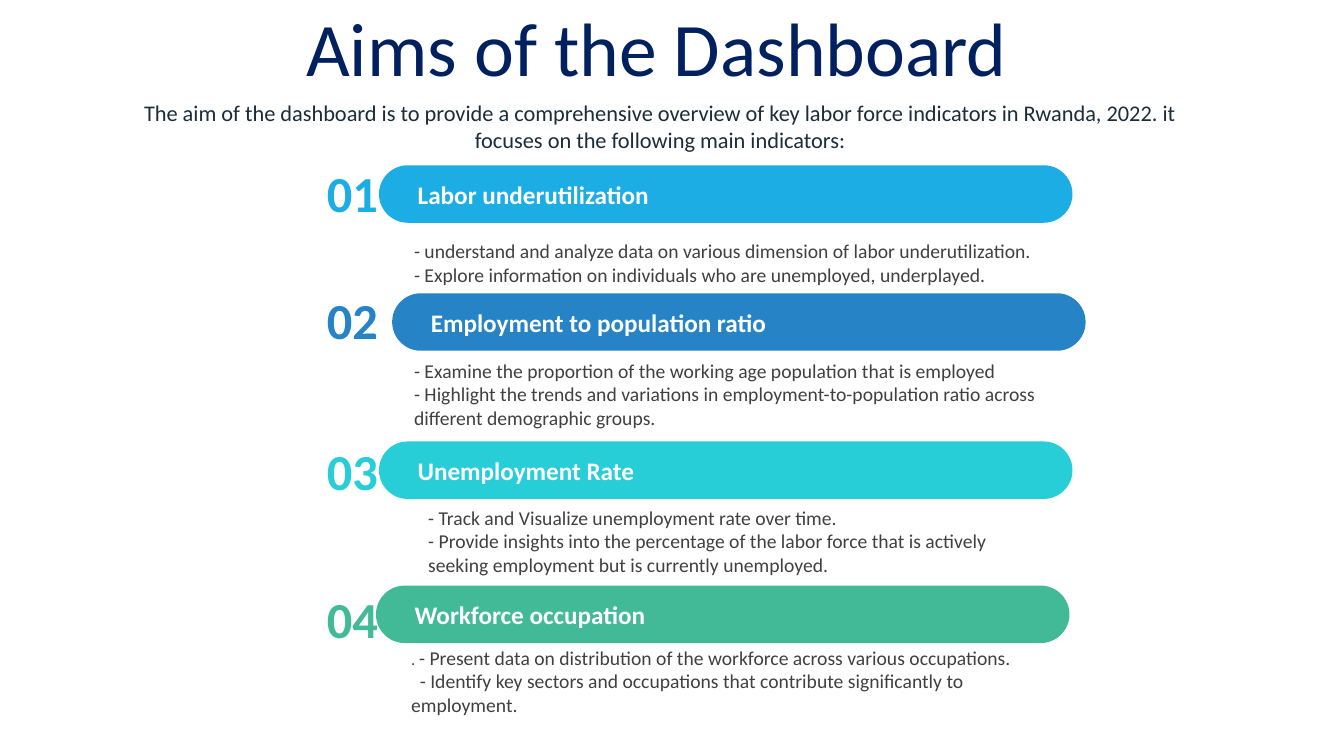
"""Builds the slide on the aims of the labor force dashboard."""
from pptx import Presentation
from pptx.dml.color import RGBColor
from pptx.enum import shapes, text
from pptx.util import Pt

ALIGN = text.PP_ALIGN
GREY = "404040"


def color(value):
    return RGBColor.from_string(value)


def write(frame, paragraphs, size=14, ink=GREY, bold=False, align=ALIGN.LEFT,
          insets=(7.2, 3.6, 7.2, 3.6), last_indent=0):
    frame.word_wrap = True
    frame.auto_size = text.MSO_AUTO_SIZE.NONE
    frame.vertical_anchor = text.MSO_ANCHOR.MIDDLE
    (frame.margin_left, frame.margin_top,
     frame.margin_right, frame.margin_bottom) = map(Pt, insets)
    for index, content in enumerate(paragraphs):
        paragraph = frame.add_paragraph() if index else frame.paragraphs[0]
        paragraph.alignment = align
        pieces = [(content, size)] if isinstance(content, str) else content
        for words, points in pieces:
            run = paragraph.add_run()
            run.text = words
            run.font.name = "Calibri"
            run.font.size = Pt(points)
            run.font.bold = bold
            run.font.color.rgb = color(ink)
    if last_indent:
        paragraph._p.get_or_add_pPr().set("indent", str(Pt(last_indent)))


class AimsSlide:
    def __init__(self, deck):
        self.shapes = deck.slides.add_slide(deck.slide_layouts[6]).shapes

    def label(self, box, paragraphs, **style):
        frame = self.shapes.add_textbox(*map(Pt, box)).text_frame
        write(frame, paragraphs, **style)

    def panel(self, box, fill, paragraphs, rounding, **style):
        panel = self.shapes.add_shape(
            shapes.MSO_SHAPE.ROUNDED_RECTANGLE, *map(Pt, box))
        panel.adjustments[0] = rounding
        panel.shadow.inherit = False
        panel.fill.solid()
        panel.fill.fore_color.rgb = color(fill)
        panel.line.fill.background()
        write(panel.text_frame, paragraphs, **style)

    def aim(self, number, accent, number_top, bar_at, heading,
            details_box, details, **style):
        self.label((213.84, number_top, 75.6, 51.12), [f"{number:02}"], size=36,
                   ink=accent, bold=True, align=ALIGN.CENTER,
                   insets=(8.64, 3.6, 8.64, 3.6))
        self.label(details_box, details, **style)
        self.panel((*bar_at, 495.36, 41.04), accent, [heading], 0.5, size=18,
                   ink="FFFFFF", bold=True, insets=(21.6, 3.6, 7.2, 3.6))


def main():
    deck = Presentation()
    deck.slide_width, deck.slide_height = Pt(960), Pt(540)
    slide = AimsSlide(deck)
    slide.label((211.68, -3.6, 519.84, 72.72), ["Aims of the Dashboard"],
                size=54, ink="002060")
    slide.aim(1, "1CADE4", 111.6, (270.72, 118.08), "Labor underutilization",
              (288.72, 141.12, 477.36, 75.6),
              ["- understand and analyze data on various dimension of labor underutilization.",
               "- Explore information on individuals who are unemployed, underplayed."],
              insets=(7.2, 20.7, 7.2, 3.6))
    slide.aim(2, "2683C6", 202.32, (280.08, 209.52), "Employment to population ratio",
              (288.72, 252.72, 477.36, 57.6),
              ["- Examine the proportion of the working age population that is employed",
               "- Highlight the trends and variations in employment-to-population ratio "
               "across different demographic groups."])
    slide.aim(3, "27CED7", 310.32, (270.72, 315.36), "Unemployment Rate",
              (298.8, 357.12, 434.88, 58.32),
              ["- Track and Visualize unemployment rate over time.",
               "- Provide insights into the percentage of the labor force that is "
               "actively seeking employment but is currently unemployed."])
    slide.aim(4, "42BA97", 416.16, (268.56, 418.32), "Workforce occupation",
              (286.56, 465.84, 477.36, 41.04),
              [[(". ", 12),
                ("- Present data on distribution of the workforce across various occupations.", 14)],
               "- Identify key sectors and occupations that contribute significantly "
               "to employment."], last_indent=6.3)
    slide.panel((70.56, 66.96, 802.08, 46.08), "FFFFFF",
                ["The aim of the dashboard is to provide a comprehensive overview of key "
                 "labor force indicators in Rwanda, 2022. it focuses on the following "
                 "main indicators:"], 0.17, size=16, ink="1A2D3A", align=ALIGN.CENTER)
    deck.save("out.pptx")


if __name__ == "__main__":
    main()
